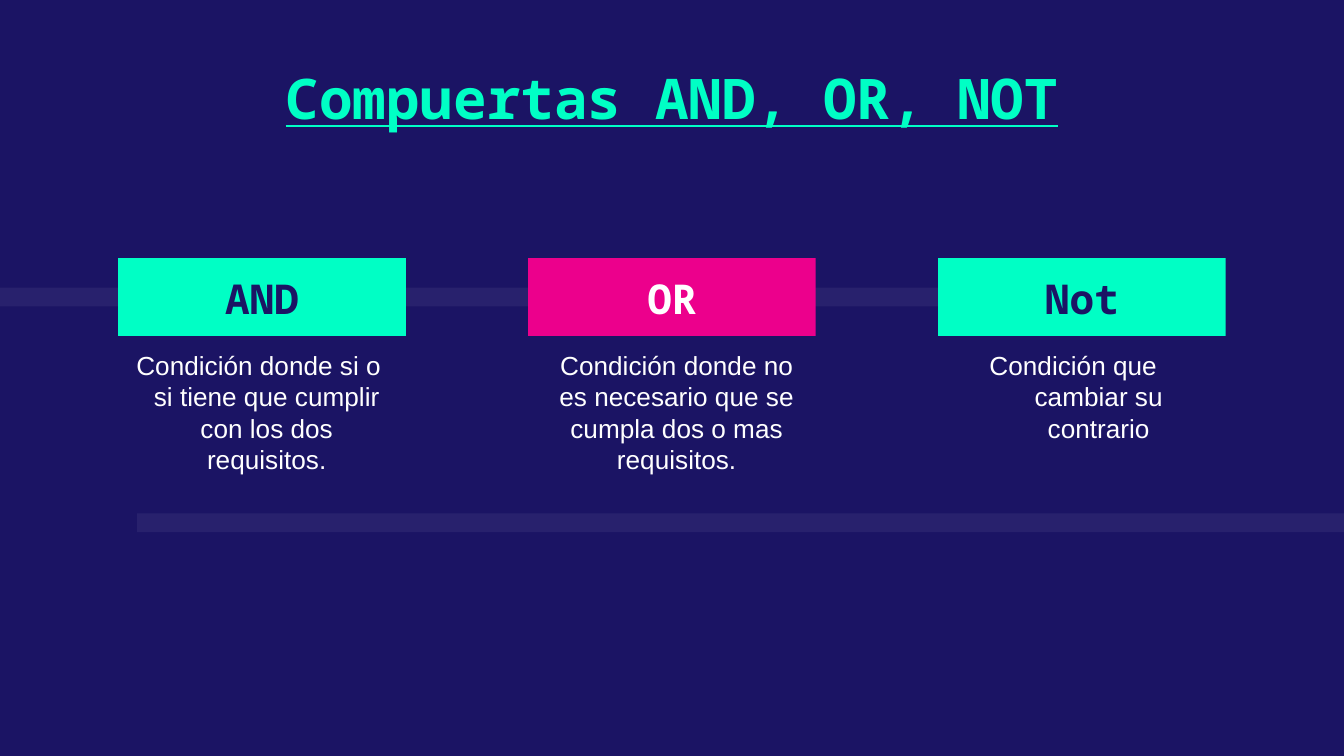
from lxml import etree
from pptx import Presentation
from pptx.dml.color import RGBColor
from pptx.enum.shapes import MSO_SHAPE
from pptx.enum.text import MSO_ANCHOR, PP_ALIGN
from pptx.oxml.ns import qn
from pptx.util import Inches, Pt

COLORS = {"navy": "1B1464", "mint": "00FFC5", "pink": "EC008C", "white": "FFFFFF"}
MONO, BODY = "Noto Sans Mono", "Arial"
TITLE = "Compuertas AND, OR, NOT"
BANDS = [(0, 2.14, 8.52), (1.02, 3.82, 8.98)]
GATES = [
    {"name": "AND", "fill": "mint", "color": "navy", "box": (0.48, 2.51, 0.98), "indent": -0.12,
     "text": "Condición donde si o si tiene que cumplir con los dos requisitos."},
    {"name": "OR", "fill": "pink", "color": "white", "box": (3.53, 2.51, 1.06), "indent": 0,
     "text": "Condición donde no es necesario que se cumpla dos o mas requisitos."},
    {"name": "Not", "fill": "mint", "color": "navy", "box": (6.78, 2.29, 0.73), "indent": -0.38,
     "text": "Condición que cambiar su contrario"},
]
LABEL_LEFT, LABEL_STEP, LABEL_TOP = 0.88, 3.05, 1.92
LABEL_W, LABEL_H = 2.14, 0.58


def rgb(name):
    return RGBColor.from_string(COLORS[name])


def add_rect(slide, x, y, w, h, color):
    sp = slide.shapes.add_shape(MSO_SHAPE.RECTANGLE, Inches(x), Inches(y), Inches(w), Inches(h))
    sp.shadow.inherit = False
    sp.fill.solid()
    sp.fill.fore_color.rgb = rgb(color)
    sp.line.fill.background()
    return sp


def add_box(slide, x, y, w, h):
    return slide.shapes.add_textbox(Inches(x), Inches(y), Inches(w), Inches(h))


def write(sp, text, size, font, color, bold=False, anchor=MSO_ANCHOR.TOP):
    tf = sp.text_frame
    tf.word_wrap = True
    tf.vertical_anchor = anchor
    tf.margin_left = tf.margin_right = tf.margin_top = tf.margin_bottom = Inches(0.1)
    tf.text = text
    p = tf.paragraphs[0]
    p.alignment = PP_ALIGN.CENTER
    r = p.runs[0]
    r.font.size = Pt(size)
    r.font.name = font
    r.font.bold = bold
    r.font.color.rgb = rgb(color)
    return p


prs = Presentation()
prs.slide_width = Inches(10)
prs.slide_height = prs.slide_width * 9 // 16
slide = prs.slides.add_slide(prs.slide_layouts[6])
slide.background.fill.solid()
slide.background.fill.fore_color.rgb = rgb("navy")

for x, y, w in BANDS:
    band = add_rect(slide, x, y, w, 0.14, "white")
    clr = band._element.spPr.find(qn("a:solidFill"))[0]
    etree.SubElement(clr, qn("a:alpha")).set("val", "6000")

for i, gate in enumerate(GATES):
    x, w, h = gate["box"]
    p = write(add_box(slide, x, LABEL_TOP + LABEL_H, w, h), gate["text"], 14, BODY, "white")
    pPr = p._p.get_or_add_pPr()
    pPr.set("marL", str(Inches(0.5)))
    pPr.set("indent", str(Inches(gate["indent"])))
    label = add_rect(slide, LABEL_LEFT + i * LABEL_STEP, LABEL_TOP, LABEL_W, LABEL_H, gate["fill"])
    write(label, gate["name"], 22, MONO, gate["color"], True, MSO_ANCHOR.BOTTOM)

p = write(add_box(slide, 1.4, 0.37, 7.2, 0.73), TITLE, 30, MONO, "mint", True)
p.runs[0].font.underline = True

prs.save("out.pptx")
